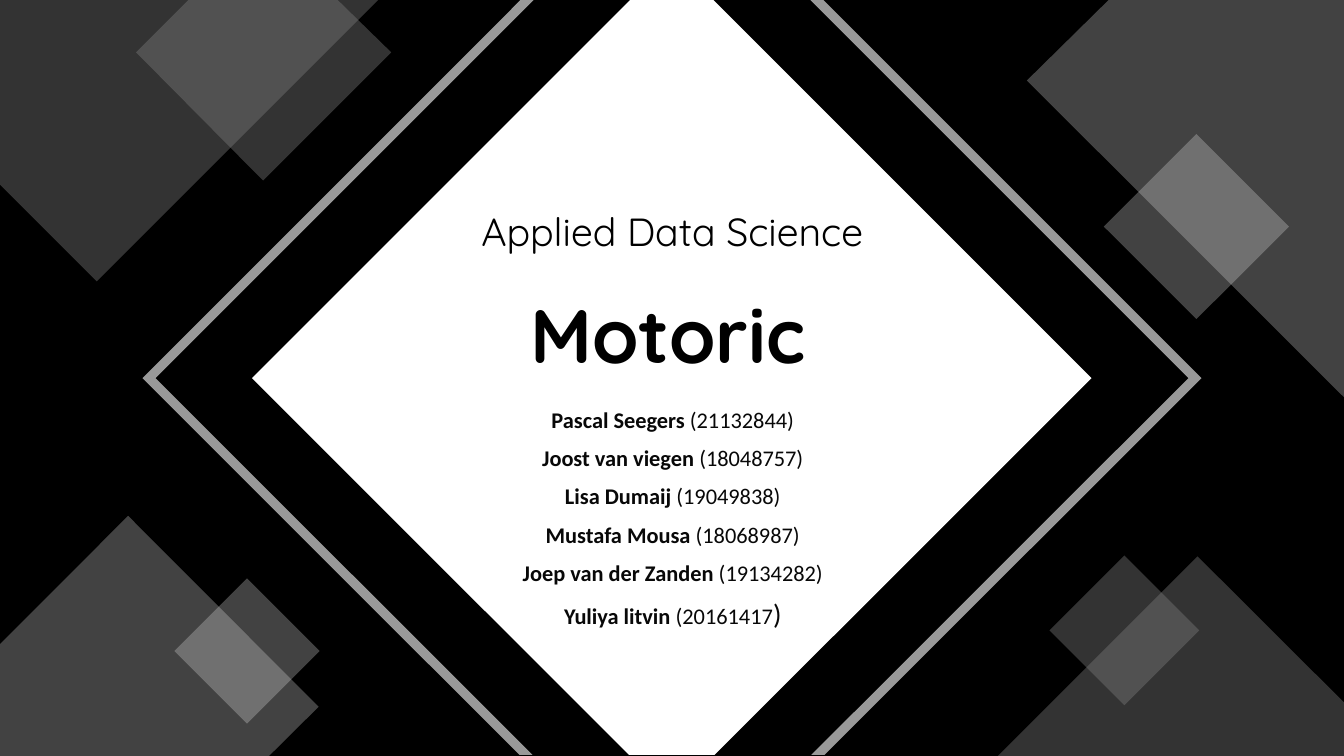
from lxml import etree
from pptx import Presentation
from pptx.dml.color import RGBColor
from pptx.enum.shapes import MSO_SHAPE
from pptx.enum.text import MSO_ANCHOR, PP_ALIGN
from pptx.oxml.ns import qn
from pptx.util import Cm, Pt

RECTANGLE = MSO_SHAPE.RECTANGLE
TOP = MSO_ANCHOR.TOP
LEFT, CENTER = PP_ALIGN.LEFT, PP_ALIGN.CENTER

BLACK = RGBColor(0x00, 0x00, 0x00)
NEAR_BLACK = RGBColor(0x08, 0x08, 0x08)
GRAY = RGBColor(0x80, 0x80, 0x80)
LIGHT_GRAY = RGBColor(0xDD, 0xDD, 0xDD)
WHITE = RGBColor(0xFF, 0xFF, 0xFF)

# Lengths are centimetres, opacities are percent.
SLIDE_WIDTH, SLIDE_HEIGHT = 33.87, 19.05
TITLE = "Motoric"
COURSE = "Applied Data Science"
STUDENTS = [  # name, number, size of the closing bracket
    ("Pascal Seegers", "21132844", 16),
    ("Joost van viegen", "18048757", 16),
    ("Lisa Dumaij", "19049838", 16),
    ("Mustafa Mousa", "18068987", 16),
    ("Joep van der Zanden", "19134282", 16),
    ("Yuliya litvin", "20161417", 20),
]

TOP_LEFT_CORNER = [(0, 0), (9.53, 0), (2.44, 7.09), (0, 4.65)]
TOP_LEFT_DIAMOND = [(4.75, 0), (8.51, 0), (9.86, 1.32), (6.63, 4.55), (3.43, 1.32)]
TOP_RIGHT_CORNER = [(27.94, 0), (33.87, 0), (33.87, 10.01), (25.88, 2.03)]
BOTTOM_LEFT_CORNER = [(3.23, 13), (8.03, 17.81), (6.78, 19.05), (0, 19.05), (0, 16.23)]
BOTTOM_RIGHT_CORNER = [(30.18, 14.02), (33.87, 17.7), (33.87, 19.05), (25.15, 19.05)]
CENTRE_DIAMOND = [(15.88, 0), (17.98, 0), (27.51, 9.53),
                  (18.01, 19.02), (15.85, 19.02), (6.35, 9.53)]
RIGHT_BAND = [(20.42, 0), (20.75, 0), (30.28, 9.53),
              (20.78, 19.02), (20.45, 19.02), (29.95, 9.53)]
LEFT_BAND = [(SLIDE_WIDTH - x, y) for x, y in RIGHT_BAND]

# Back to front: a square is (left, top, side), an outline is a list of contours.
DECORATIONS = [
    ([TOP_LEFT_CORNER], GRAY, 40),
    ([TOP_LEFT_DIAMOND], GRAY, 40),
    ([TOP_RIGHT_CORNER], LIGHT_GRAY, 30),
    ((28.5, 4.06, 3.3), LIGHT_GRAY, 30),
    ([BOTTOM_LEFT_CORNER], LIGHT_GRAY, 30),
    ((4.93, 15.11, 2.59), LIGHT_GRAY, 30),
    ([CENTRE_DIAMOND], WHITE, 100),
    ([RIGHT_BAND, LEFT_BAND], WHITE, 60),
    ([BOTTOM_RIGHT_CORNER], GRAY, 40),
    ((27, 14.55, 2.67), GRAY, 40),
]


def paint(shape, color, opacity):
    shape.shadow.inherit = False
    shape.line.fill.background()
    shape.fill.solid()
    shape.fill.fore_color.rgb = color
    if opacity < 100:
        color_element = shape.element.spPr.find(qn("a:solidFill"))[0]
        etree.SubElement(color_element, qn("a:alpha")).set("val", str(opacity * 1000))


def add_outline(slide, contours):
    """Draw one freeform from closed contours."""
    contours = [[(Cm(x), Cm(y)) for x, y in contour] for contour in contours]
    builder = slide.shapes.build_freeform(*contours[0][0])
    for contour in contours:
        if contour is not contours[0]:
            builder.move_to(*contour[0])
        builder.add_line_segments(contour[1:], close=True)
    return builder.convert_to_shape()


def add_tilted_square(slide, left, top, side):
    square = slide.shapes.add_shape(RECTANGLE, Cm(left), Cm(top), Cm(side), Cm(side))
    square.rotation = 45
    return square


def place(shape, left, top, width, height):
    shape.left, shape.top, shape.width, shape.height = map(Cm, (left, top, width, height))
    shape.text_frame.word_wrap = True
    shape.text_frame.vertical_anchor = TOP


def add_run(paragraph, text, font_name, size, color, bold=False):
    run = paragraph.add_run()
    run.text = text
    run.font.name = font_name
    run.font.size = Pt(size)
    run.font.color.rgb = color
    run.font.bold = bold


def main():
    presentation = Presentation()
    presentation.slide_width, presentation.slide_height = Cm(SLIDE_WIDTH), Cm(SLIDE_HEIGHT)
    slide = presentation.slides.add_slide(presentation.slide_layouts[5])
    slide.background.fill.solid()
    slide.background.fill.fore_color.rgb = BLACK

    for geometry, color, opacity in DECORATIONS:
        if isinstance(geometry, tuple):
            shape = add_tilted_square(slide, *geometry)
        else:
            shape = add_outline(slide, geometry)
        paint(shape, color, opacity)

    students = slide.shapes.add_textbox(0, 0, 0, 0)
    place(students, 8.66, 10.19, 16.59, 7.67)
    for index, (name, number, bracket_size) in enumerate(STUDENTS):
        frame = students.text_frame
        paragraph = frame.add_paragraph() if index else frame.paragraphs[0]
        paragraph.alignment = CENTER
        paragraph.line_spacing = 0.9
        paragraph.space_before = Pt(10)
        add_run(paragraph, name, "Calibri", 16, NEAR_BLACK, bold=True)
        add_run(paragraph, f" ({number}", "Calibri", 16, NEAR_BLACK)
        add_run(paragraph, ")", "Calibri", bracket_size, NEAR_BLACK)

    title = slide.shapes.title
    title.element.getparent().append(title.element)  # bring in front of the diamond
    place(title, 13.11, 7.14, 7.65, 2.57)
    title.text_frame.paragraphs[0].alignment = LEFT
    add_run(title.text_frame.paragraphs[0], TITLE, "Quicksand", 54, BLACK, bold=True)

    course = slide.shapes.add_textbox(0, 0, 0, 0)
    place(course, 7.11, 5.11, 19.66, 1.45)
    course.text_frame.paragraphs[0].alignment = CENTER
    add_run(course.text_frame.paragraphs[0], COURSE, "Quicksand", 28, BLACK)

    presentation.save("out.pptx")


if __name__ == "__main__":
    main()
